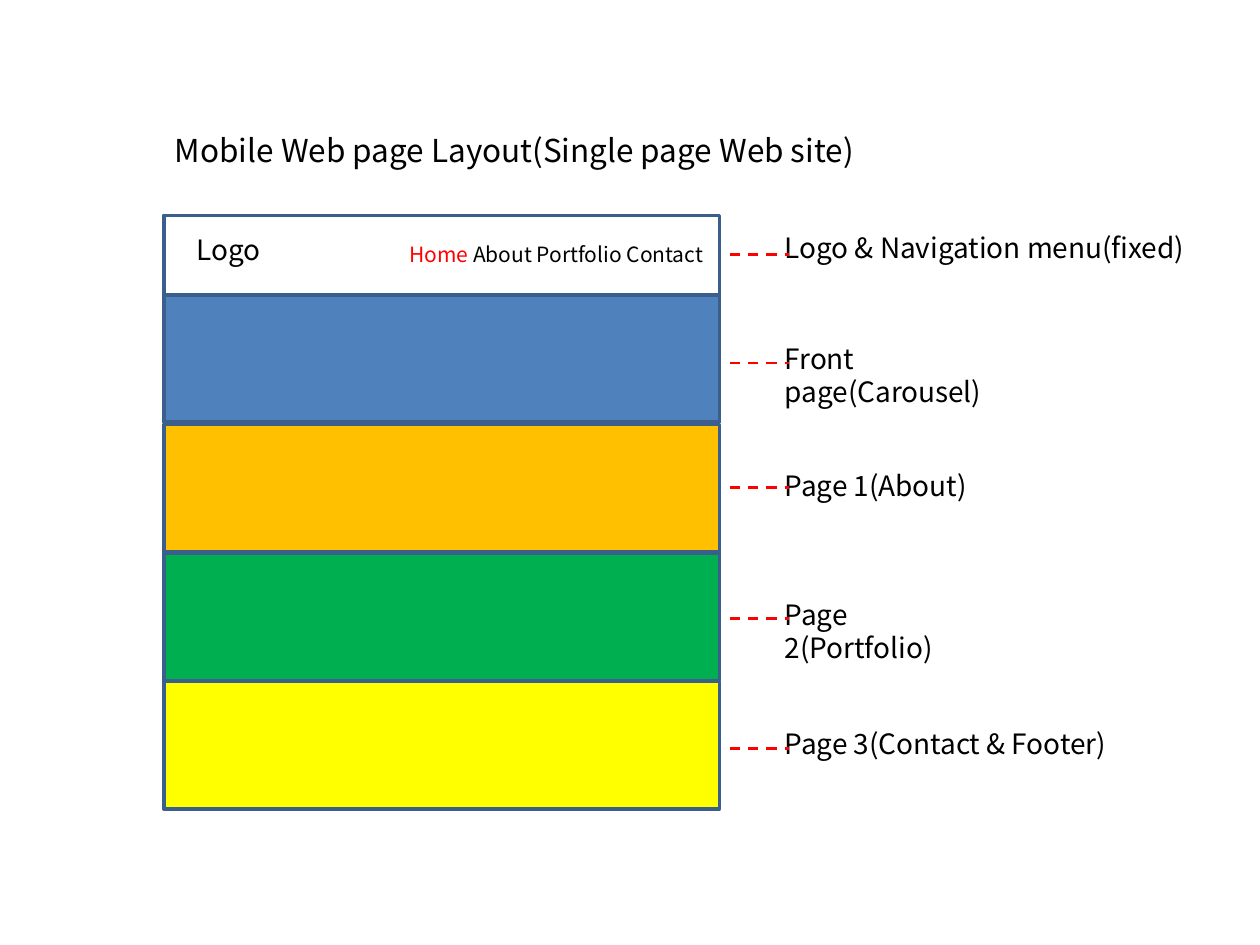
from pptx import Presentation
from pptx import util as u
from pptx.dml.color import RGBColor
from pptx.enum import dml, shapes, text
from pptx.oxml.ns import qn
from lxml import etree

THEME = {
    "font": "Noto Sans CJK KR",
    "ink": "000000", "accent": "FF0000", "border": "3A5F8C",
    "title": 18, "label": 16, "menu": 12,
    "border_width": 2, "leader_width": 1.5,
}

# Sections: fill, top, height, leader height, label, label top, label width
SECTIONS = [
    (None, 1.71, 0.63, 2.02, "Logo & Navigation menu(fixed)", 1.78, 3.44),
    ("4F81BD", 2.34, 1.01, 2.88, "Front page(Carousel)", 2.66, 2.33),
    ("FFC000", 3.37, 1.01, 3.87, "Page 1(About)", 3.67, 1.66),
    ("00B050", 4.39, 1.01, 4.91, "Page 2(Portfolio)", 4.69, 1.91),
    ("FFFF00", 5.41, 1.01, 5.94, "Page 3(Contact & Footer)", 5.72, 2.82),
]
BAND_LEFT, BAND_WIDTH = 1.3, 4.41
LEADER_START, LEADER_END = 5.79, 6.26
LABEL_LEFT = 6.13

# Other text: runs with colours, size, left, top, width, height
TEXTS = [
    ([("Logo", "ink")], "label", 1.46, 1.8, 0.91, 0.37),
    ([("Home", "accent"), (" About Portfolio Contact", "ink")],
     "menu", 3.15, 1.87, 2.55, 0.3),
    ([("Mobile Web page Layout(Single page Web site)", "ink")],
     "title", 1.29, 0.99, 5.7, 0.4),
]


def colour(name):
    return RGBColor.from_string(THEME.get(name, name))


def add_text(page, runs, size, left, top, width, height):
    box = page.shapes.add_textbox(*map(u.Inches, (left, top, width, height)))
    frame = box.text_frame
    frame.word_wrap = True
    frame.auto_size = text.MSO_AUTO_SIZE.SHAPE_TO_FIT_TEXT
    para = frame.paragraphs[0]
    for words, ink in runs:
        span = para.add_run()
        span.text = words
        span.font.name = THEME["font"]
        span.font.size = u.Pt(THEME[size])
        span.font.color.rgb = colour(ink)


def add_band(page, fill, top, height):
    band = page.shapes.add_shape(
        shapes.MSO_SHAPE.RECTANGLE,
        *map(u.Inches, (BAND_LEFT, top, BAND_WIDTH, height)))
    band.shadow.inherit = False
    if fill:
        band.fill.solid()
        band.fill.fore_color.rgb = colour(fill)
    else:
        band.fill.background()
    band.line.color.rgb = colour("border")
    band.line.width = u.Pt(THEME["border_width"])


def add_leader(page, y):
    leader = page.shapes.add_connector(
        shapes.MSO_CONNECTOR.STRAIGHT,
        *map(u.Inches, (LEADER_START, y, LEADER_END, y)))
    leader.line.color.rgb = colour("accent")
    leader.line.width = u.Pt(THEME["leader_width"])
    leader.line.dash_style = dml.MSO_LINE.DASH
    etree.SubElement(leader._element.spPr, qn("a:effectLst"))


def main():
    deck = Presentation()
    deck.slide_width, deck.slide_height = u.Inches(10), u.Inches(7.5)
    page = deck.slides.add_slide(deck.slide_layouts[6])

    # Page bands
    for fill, top, height, *_ in SECTIONS:
        add_band(page, fill, top, height)

    # Title, logo and menu
    for item in TEXTS:
        add_text(page, *item)

    # Section labels with their dashed leaders
    for *_, leader_y, label, top, width in SECTIONS:
        add_text(page, [(label, "ink")], "label", LABEL_LEFT, top, width, 0.37)
        add_leader(page, leader_y)

    deck.save("out.pptx")


if __name__ == "__main__":
    main()
